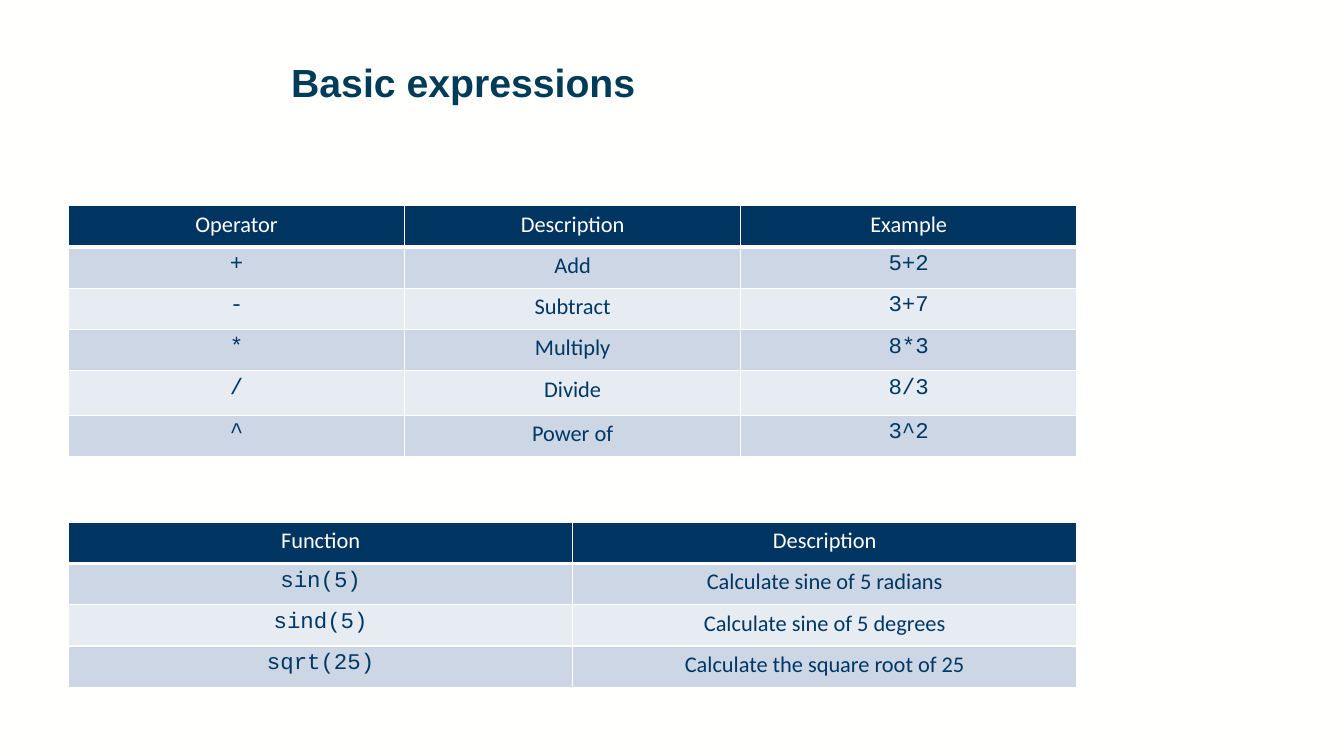
"""Build the slide of basic expressions with its operator and function tables."""
import pptx
import pptx.dml.color
import pptx.enum.text
import pptx.oxml
import pptx.oxml.ns
import pptx.util
from pptx.util import Inches

WHITE = "FFFFFE"
HEADER = "003561"
BODY = "003865"
BANDS = ("CCD6E4", "E7ECF2")
ALIGN = pptx.enum.text.PP_ALIGN


def color(hex_value):
    return pptx.dml.color.RGBColor.from_string(hex_value)


def write(frame, text, *, font="Calibri", size=16, ink=BODY, bold=False,
          align=ALIGN.CENTER, spacing=None):
    paragraph = frame.paragraphs[0]
    paragraph.alignment = align
    paragraph.line_spacing = spacing
    run = paragraph.add_run()
    run.text = text
    run.font.name = font
    run.font.size = pptx.util.Pt(size)
    run.font.bold = bold
    run.font.color.rgb = color(ink)


class ExpressionSlide:
    def __init__(self, deck):
        self.slide = deck.slides.add_slide(deck.slide_layouts[6])
        background = self.slide.background.fill
        background.solid()
        background.fore_color.rgb = color(WHITE)

    def title(self, text, left, top, width, height):
        box = self.slide.shapes.add_textbox(
            Inches(left), Inches(top), Inches(width), Inches(height))
        box.text_frame.word_wrap = True
        write(box.text_frame, text, font="Arial", size=28, ink="003B58",
              bold=True, align=ALIGN.LEFT, spacing=0.9)

    def borders(self, cell, bottom):
        properties = cell._tc.get_or_add_tcPr()
        for side, points in (("L", 1), ("R", 1), ("T", 1), ("B", bottom)):
            properties.append(pptx.oxml.parse_xml(
                f'<a:ln{side} {pptx.oxml.ns.nsdecls("a")} w="{pptx.util.Pt(points)}">'
                f'<a:solidFill><a:srgbClr val="{WHITE}"/></a:solidFill></a:ln{side}>'))

    def table(self, rows, left, top, width, heights, code_columns):
        columns = len(rows[0])
        grid = self.slide.shapes.add_table(
            len(rows), columns, Inches(left), Inches(top),
            Inches(width), Inches(sum(heights))).table
        for column in grid.columns:
            column.width = Inches(width / columns)
        for r, (values, height) in enumerate(zip(rows, heights)):
            grid.rows[r].height = Inches(height)
            is_header = r == 0
            for c, value in enumerate(values):
                cell = grid.cell(r, c)
                self.borders(cell, bottom=3 if is_header else 1)
                cell.fill.solid()
                cell.fill.fore_color.rgb = color(HEADER if is_header else BANDS[(r - 1) % 2])
                is_code = not is_header and c in code_columns
                write(cell.text_frame, value,
                      font="Courier New" if is_code else "Calibri",
                      ink=WHITE if is_header else BODY)


def main():
    deck = pptx.Presentation()
    deck.slide_width, deck.slide_height = Inches(13.33), Inches(7.5)
    page = ExpressionSlide(deck)
    page.title("Basic expressions", 2.79, 0.58, 10.07, 0.97)
    operators = [
        ("Operator", "Description", "Example"),
        ("+", "Add", "5+2"),
        ("-", "Subtract", "3+7"),
        ("*", "Multiply", "8*3"),
        ("/", "Divide", "8/3"),
        ("^", "Power of", "3^2"),
    ]
    functions = [
        ("Function", "Description"),
        ("sin(5)", "Calculate sine of 5 radians"),
        ("sind(5)", "Calculate sine of 5 degrees"),
        ("sqrt(25)", "Calculate the square root of 25"),
    ]
    page.table(operators, 0.68, 2.04, 10, [0.41] * 4 + [0.44, 0.41], {0, 2})
    page.table(functions, 0.68, 5.18, 10, [0.41] * 4, {0})
    deck.save("out.pptx")


if __name__ == "__main__":
    main()
